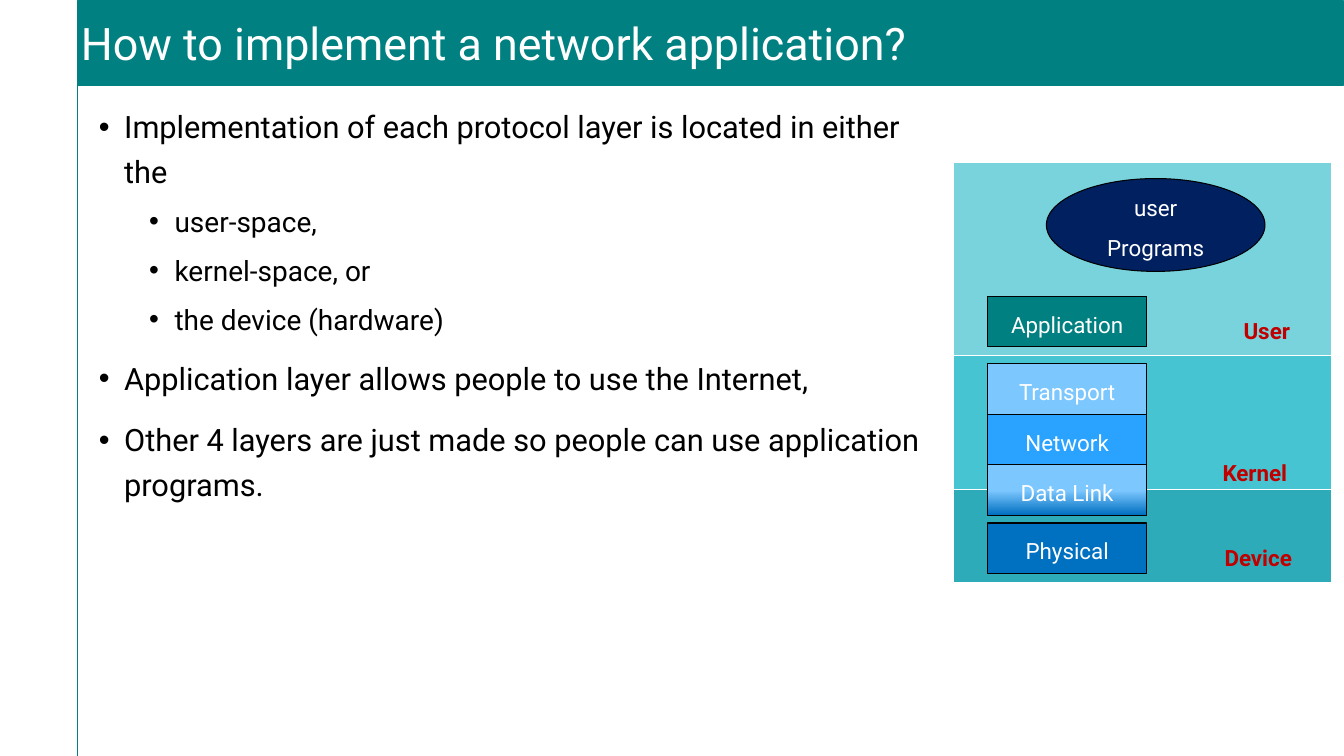
import pptx
import pptx.dml.color
import pptx.enum.shapes
import pptx.enum.text
import pptx.oxml
import pptx.oxml.ns
import pptx.util

Cm = pptx.util.Cm
Pt = pptx.util.Pt
SHAPE = pptx.enum.shapes.MSO_SHAPE
ALIGN = pptx.enum.text.PP_ALIGN
ANCHOR = pptx.enum.text.MSO_ANCHOR

TEAL, BLACK, WHITE, RED = "008080", "000000", "FFFFFF", "C00000"
SKY, AZURE, BLUE, NAVY = "7DC7FF", "29A3FF", "0070C0", "002060"


def color(hex_code):
    return pptx.dml.color.RGBColor.from_string(hex_code)


def write(paragraph, text, size=16, ink=WHITE, bold=False, align=ALIGN.LEFT,
          before=0, spacing=1.2, font="Roboto"):
    paragraph.alignment = align
    paragraph.line_spacing = spacing
    paragraph.space_before = Pt(before)
    run = paragraph.add_run()
    run.text = text
    run.font.name = font
    run.font.size = Pt(size)
    run.font.bold = bold
    run.font.color.rgb = color(ink)


def add_bullet(paragraph, left, hanging):
    properties = paragraph._p.get_or_add_pPr()
    properties.set("marL", str(Cm(left)))
    properties.set("indent", str(-Cm(hanging)))
    namespace = pptx.oxml.ns.nsdecls("a")
    for xml in (f'<a:buClr {namespace}><a:srgbClr val="{BLACK}"/></a:buClr>',
                f'<a:buFont {namespace} typeface="Arial"/>',
                f'<a:buChar {namespace} char="•"/>'):
        properties.append(pptx.oxml.parse_xml(xml))


class SlideBuilder:
    inset = 0.25
    line_width = 0.75

    def __init__(self, deck):
        self.slide = deck.slides.add_slide(deck.slide_layouts[5])

    def title(self, text, left, top, width, height):
        heading = self.slide.shapes.title
        heading.left, heading.top = Cm(left), Cm(top)
        heading.width, heading.height = Cm(width), Cm(height)
        self.paint(heading, TEAL, TEAL, 1)
        frame = self.frame(heading, ANCHOR.MIDDLE, True, 0.08, 0.08)
        write(frame.paragraphs[0], text, size=32, spacing=1)

    def paint(self, shape, fill, outline, width=line_width):
        shape.fill.solid()
        shape.fill.fore_color.rgb = color(fill)
        shape.line.color.rgb = color(outline)
        shape.line.width = Pt(width)

    def frame(self, shape, anchor, wrap, side=inset, edge=0.13):
        frame = shape.text_frame
        frame.auto_size = pptx.enum.text.MSO_AUTO_SIZE.NONE
        frame.word_wrap = wrap
        frame.vertical_anchor = anchor
        frame.margin_left = frame.margin_right = Cm(side)
        frame.margin_top = frame.margin_bottom = Cm(edge)
        return frame

    def shape(self, left, top, width, height, fill, outline=BLACK,
              lines=(), kind=SHAPE.RECTANGLE):
        shape = self.slide.shapes.add_shape(
            kind, Cm(left), Cm(top), Cm(width), Cm(height))
        shape.shadow.inherit = False
        self.paint(shape, fill, outline)
        frame = self.frame(shape, ANCHOR.MIDDLE, False)
        for number, text in enumerate(lines):
            paragraph = frame.add_paragraph() if number else frame.paragraphs[0]
            write(paragraph, text, align=ALIGN.CENTER, before=6 if number else 0)
        return shape

    def text_box(self, left, top, width, height):
        box = self.slide.shapes.add_textbox(
            Cm(left), Cm(top), Cm(width), Cm(height))
        return self.frame(box, ANCHOR.TOP, True)

    def label(self, text, left, top, width):
        frame = self.text_box(left, top, width, 1.07)
        write(frame.paragraphs[0], text, ink=RED, bold=True)

    def bullets(self, items, left, top, width, height):
        frame = self.text_box(left, top, width, height)
        for number, (level, text) in enumerate(items):
            paragraph = frame.add_paragraph() if number else frame.paragraphs[0]
            paragraph.level = level
            before = (6 if level else 12) if number else 0
            write(paragraph, text, size=20 if level else 22, ink=BLACK, before=before)
            add_bullet(paragraph, 0.64 + 1.27 * level, 0.64)

    def line(self, x1, y1, x2, y2):
        connector = self.slide.shapes.add_connector(
            pptx.enum.shapes.MSO_CONNECTOR.STRAIGHT, Cm(x1), Cm(y1), Cm(x2), Cm(y2))
        connector.line.color.rgb = color(TEAL)
        connector.line.width = Pt(self.line_width)
        connector._element.spPr.append(pptx.oxml.parse_xml(
            f'<a:effectLst {pptx.oxml.ns.nsdecls("a")}/>'))


def main():
    deck = pptx.Presentation()
    deck.slide_width, deck.slide_height = Cm(33.87), Cm(19.05)
    builder = SlideBuilder(deck)

    builder.title("How to implement a network application?", 1.96, 0.03, 31.9, 2.11)
    builder.bullets([
        (0, "Implementation of each protocol layer is located in either the"),
        (1, "user-space,"),
        (1, "kernel-space, or"),
        (1, "the device (hardware)"),
        (0, "Application layer allows people to use the Internet,"),
        (0, "Other 4 layers are just made so people can use application programs."),
    ], 2.24, 2.41, 21.82, 16.13)

    for top, height, fill in ((12.34, 2.34, "2EABB8"),
                              (4.09, 4.87, "79D3DD"),
                              (8.95, 3.38, "47C4D1")):
        builder.shape(24.03, top, 9.53, height, fill, WHITE)

    layer_height = 1.27
    kernel_top = 9.17
    protocol_layers = {}
    for name, top, fill in (("Application", 7.47, TEAL),
                            ("Transport", kernel_top, SKY),
                            ("Network", kernel_top + layer_height, AZURE),
                            ("Data Link", kernel_top + 2 * layer_height, SKY),
                            ("Physical", 13.18, BLUE)):
        protocol_layers[name] = builder.shape(
            24.89, top, 4.01, layer_height, fill, lines=[name])

    data_link_fill = protocol_layers["Data Link"].fill
    data_link_fill.gradient()
    data_link_fill.gradient_angle = 270
    for stop, (position, shade) in zip(data_link_fill.gradient_stops,
                                       ((0.51, SKY), (1, BLUE))):
        stop.position = position
        stop.color.rgb = color(shade)

    builder.shape(26.37, 4.5, 5.51, 2.34, NAVY,
                  lines=["user", "Programs"], kind=SHAPE.OVAL)

    for space, left, top, width in (("User", 31.09, 7.72, 1.96),
                                    ("Kernel", 30.56, 11.3, 2.57),
                                    ("Device", 30.61, 13.44, 2.62)):
        builder.label(space, left, top, width)

    builder.line(1.96, 1.85, 1.96, 19.05)
    deck.save("out.pptx")


if __name__ == "__main__":
    main()
